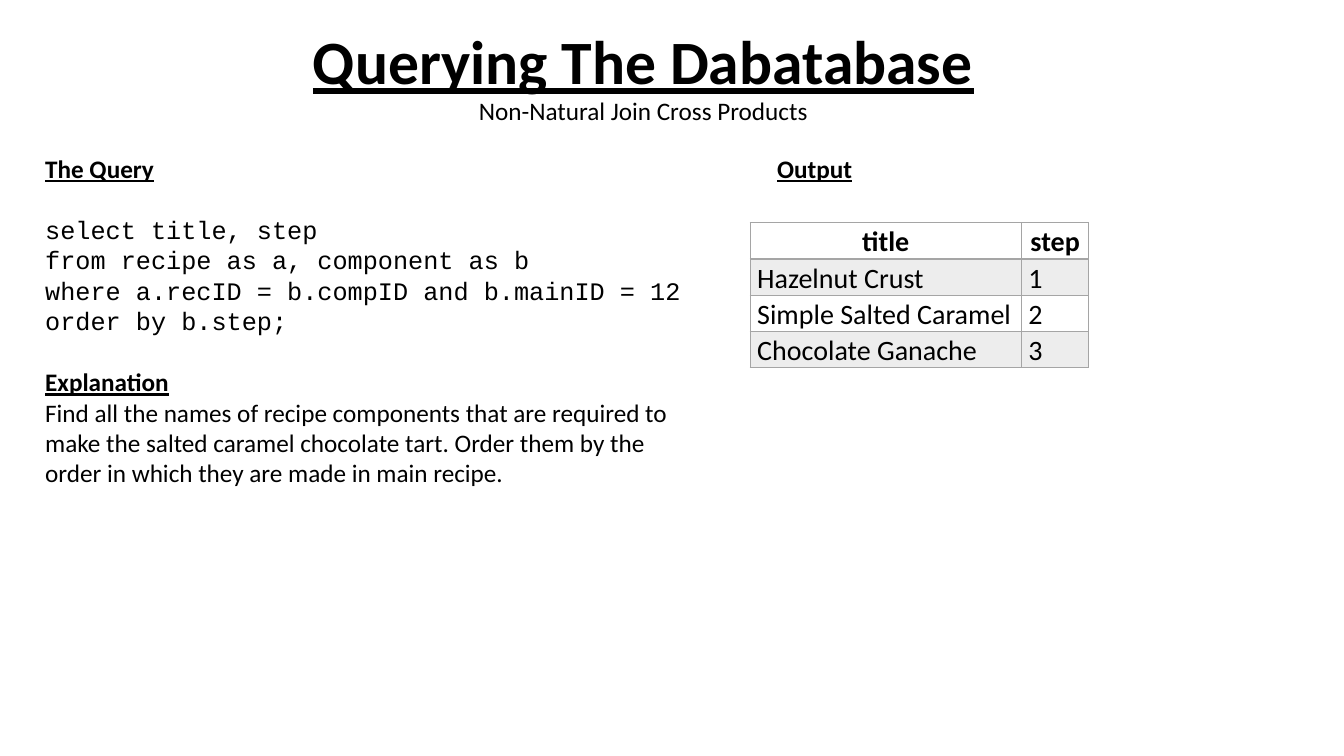
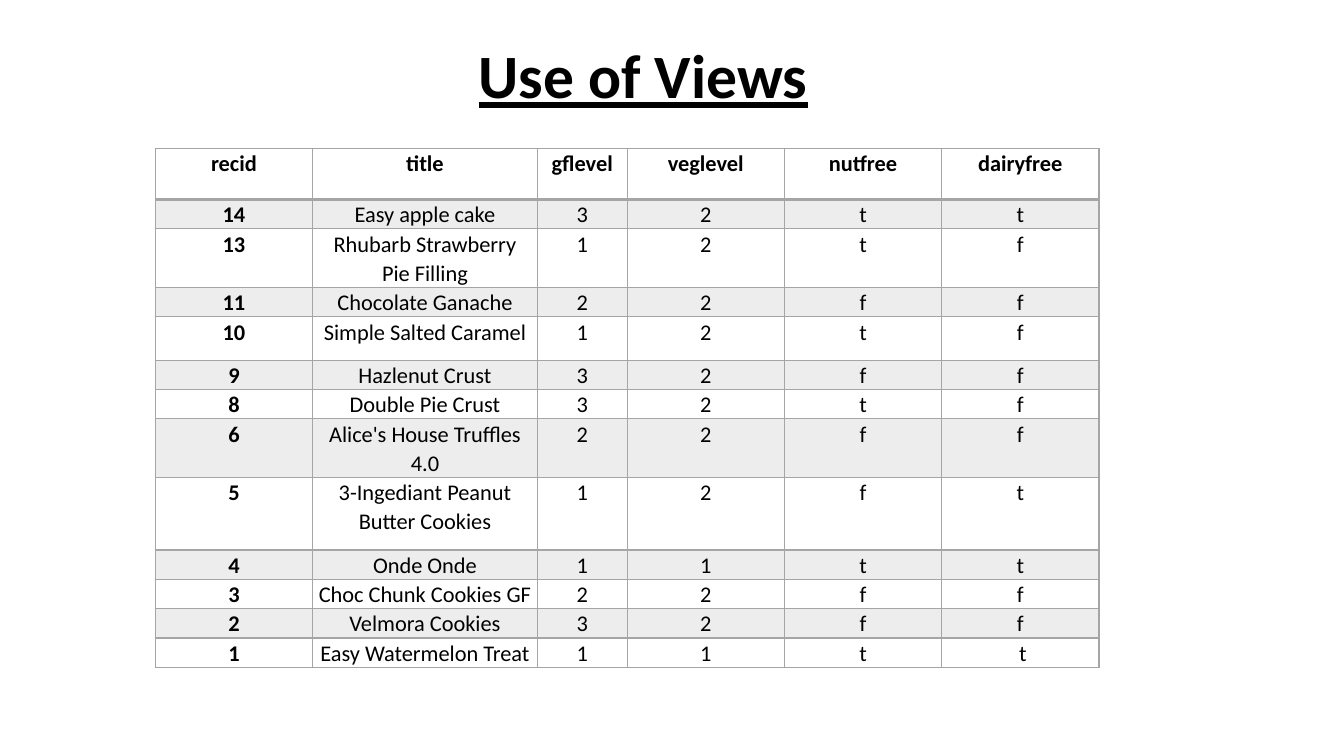
from lxml.etree import SubElement
from pptx import Presentation
from pptx.dml.color import RGBColor
from pptx.enum.text import MSO_ANCHOR as Anchor, MSO_AUTO_SIZE as AutoSize, PP_ALIGN as Align
from pptx.oxml.ns import qn
from pptx.util import Inches, Pt

COLORS = {"text": "000000", "grid": "A5A5A5"}
BODY_FONT = "Calibri"
CODE_FONT = "Courier New"
TITLE_ONLY = 5
BAND_ALPHA = 20

QUERY = [
    "select title, step",
    "from recipe as a, component as b",
    "where a.recID = b.compID and b.mainID = 12",
    "order by b.step;",
]
EXPLANATION = (
    "Find all the names of recipe components that are required to make the "
    "salted caramel chocolate tart. Order them by the order in which they "
    "are made in main recipe."
)
OUTPUT_ROWS = [
    ("title", "step"),
    ("Hazelnut Crust", "1"),
    ("Simple Salted Caramel", "2"),
    ("Chocolate Ganache", "3"),
]
VIEW_ROWS = [
    ("recid", "title", "gflevel", "veglevel", "nutfree", "dairyfree"),
    ("14", "Easy apple cake", "3", "2", "t", "t"),
    ("13", "Rhubarb Strawberry Pie Filling", "1", "2", "t", "f"),
    ("11", "Chocolate Ganache", "2", "2", "f", "f"),
    ("10", "Simple Salted Caramel", "1", "2", "t", "f"),
    ("9", "Hazlenut Crust", "3", "2", "f", "f"),
    ("8", "Double Pie Crust", "3", "2", "t", "f"),
    ("6", "Alice's House Truffles 4.0", "2", "2", "f", "f"),
    ("5", "3-Ingediant Peanut Butter Cookies", "1", "2", "f", "t"),
    ("4", "Onde Onde", "1", "1", "t", "t"),
    ("3", "Choc Chunk Cookies GF", "2", "2", "f", "f"),
    ("2", "Velmora Cookies", "3", "2", "f", "f"),
    ("1", "Easy Watermelon Treat", "1", "1", "t", " t"),
]
VIEW_HEIGHTS = [0.51, 0.29, 0.58, 0.29, 0.43, 0.29, 0.29, 0.58, 0.72] + [0.29] * 4


class SlideWriter:
    def __init__(self, deck):
        self.deck = deck
        self.page = None

    def style(self, span, size, bold=False, underline=False, font=BODY_FONT):
        span.font.name = font
        span.font.size = Pt(size)
        span.font.bold = bold
        span.font.underline = underline
        span.font.color.rgb = RGBColor.from_string(COLORS["text"])

    def start(self, title, subtitle=None):
        self.page = self.deck.slides.add_slide(self.deck.slide_layouts[TITLE_ONLY])
        box = self.page.shapes.title
        box.left, box.top = Inches(2.84), Inches(0.2)
        box.width, box.height = Inches(7.08), Inches(1.16)
        frame = box.text_frame
        frame.text = f"{title}\v{subtitle}" if subtitle else title
        frame.auto_size = AutoSize.NONE
        frame.vertical_anchor = Anchor.MIDDLE
        para = frame.paragraphs[0]
        para.alignment = Align.CENTER
        para.line_spacing = 0.9
        para.space_before = Pt(0)
        self.style(para.runs[0], 44, bold=True, underline=True)
        for span in para.runs[1:]:
            self.style(span, 18)

    def text(self, left, top, width, height, lines):
        box = self.page.shapes.add_textbox(
            Inches(left), Inches(top), Inches(width), Inches(height))
        frame = box.text_frame
        frame.word_wrap = True
        frame.auto_size = AutoSize.SHAPE_TO_FIT_TEXT
        frame.text = "\n".join(words for words, kind, gap in lines)
        for para, (words, kind, gap) in zip(frame.paragraphs, lines):
            heading, code = kind == "heading", kind == "code"
            para.space_before = Pt(gap)
            if code:
                para.line_spacing = Pt(21.75)
            self.style(para.runs[0], 18, heading, heading,
                       CODE_FONT if code else BODY_FONT)

    def border(self, cell, edge, width):
        line = SubElement(cell._tc.get_or_add_tcPr(), qn(f"a:ln{edge}"), w=str(Pt(width)))
        fill = SubElement(line, qn("a:solidFill"))
        SubElement(fill, qn("a:srgbClr"), val=COLORS["grid"])

    def band(self, cell):
        cell.fill.solid()
        cell.fill.fore_color.rgb = RGBColor.from_string(COLORS["grid"])
        color = cell._tc.tcPr.find(qn("a:solidFill")).find(qn("a:srgbClr"))
        SubElement(color, qn("a:alpha"), val=str(BAND_ALPHA * 1000))

    def table(self, left, top, widths, heights, rows, size, inset,
              body_align=Align.LEFT, bold_first=False):
        table = self.page.shapes.add_table(
            len(rows), len(widths), Inches(left), Inches(top),
            Inches(sum(widths)), Inches(sum(heights))).table
        table.first_row = table.horz_banding = False
        for column, width in zip(table.columns, widths):
            column.width = Inches(width)
        for i, values in enumerate(rows):
            table.rows[i].height = Inches(heights[i])
            for j, value in enumerate(values):
                cell = table.cell(i, j)
                cell.margin_left = cell.margin_right = Inches(inset)
                cell.margin_top = cell.margin_bottom = 0
                cell.text_frame.text = value
                para = cell.text_frame.paragraphs[0]
                para.alignment = Align.CENTER if i == 0 else body_align
                para.line_spacing = 1.07
                self.style(para.runs[0], size, bold=i == 0 or (bold_first and j == 0))
                for edge in "LRTB":
                    under_header = (i, edge) in ((0, "B"), (1, "T"))
                    self.border(cell, edge, 2 if under_header else 1)
                if i % 2:
                    self.band(cell)
                else:
                    cell.fill.background()


def main():
    deck = Presentation()
    deck.slide_width, deck.slide_height = Inches(13.33), Inches(7.5)
    writer = SlideWriter(deck)

    writer.start("Querying The Dabatabase", "Non-Natural Join Cross Products")
    query = [(line, "code", 0 if i else 22) for i, line in enumerate(QUERY)]
    writer.text(0.35, 1.47, 6.54, 3.43, [
        ("The Query", "heading", 0),
        *query,
        ("Explanation", "heading", 22),
        (EXPLANATION, "body", 0),
    ])
    writer.text(7.61, 1.47, 1.11, 0.4, [("Output", "heading", 0)])
    writer.table(7.44, 2.21, [2.69, 0.67], [0.36] * len(OUTPUT_ROWS),
                 OUTPUT_ROWS, size=20, inset=0.07)

    writer.start("Use of Views")
    writer.table(1.54, 1.47, [1.56, 2.23, 0.89, 1.56, 1.56, 1.56], VIEW_HEIGHTS,
                 VIEW_ROWS, size=16, inset=0.06,
                 body_align=Align.CENTER, bold_first=True)

    deck.save("out.pptx")


if __name__ == "__main__":
    main()
